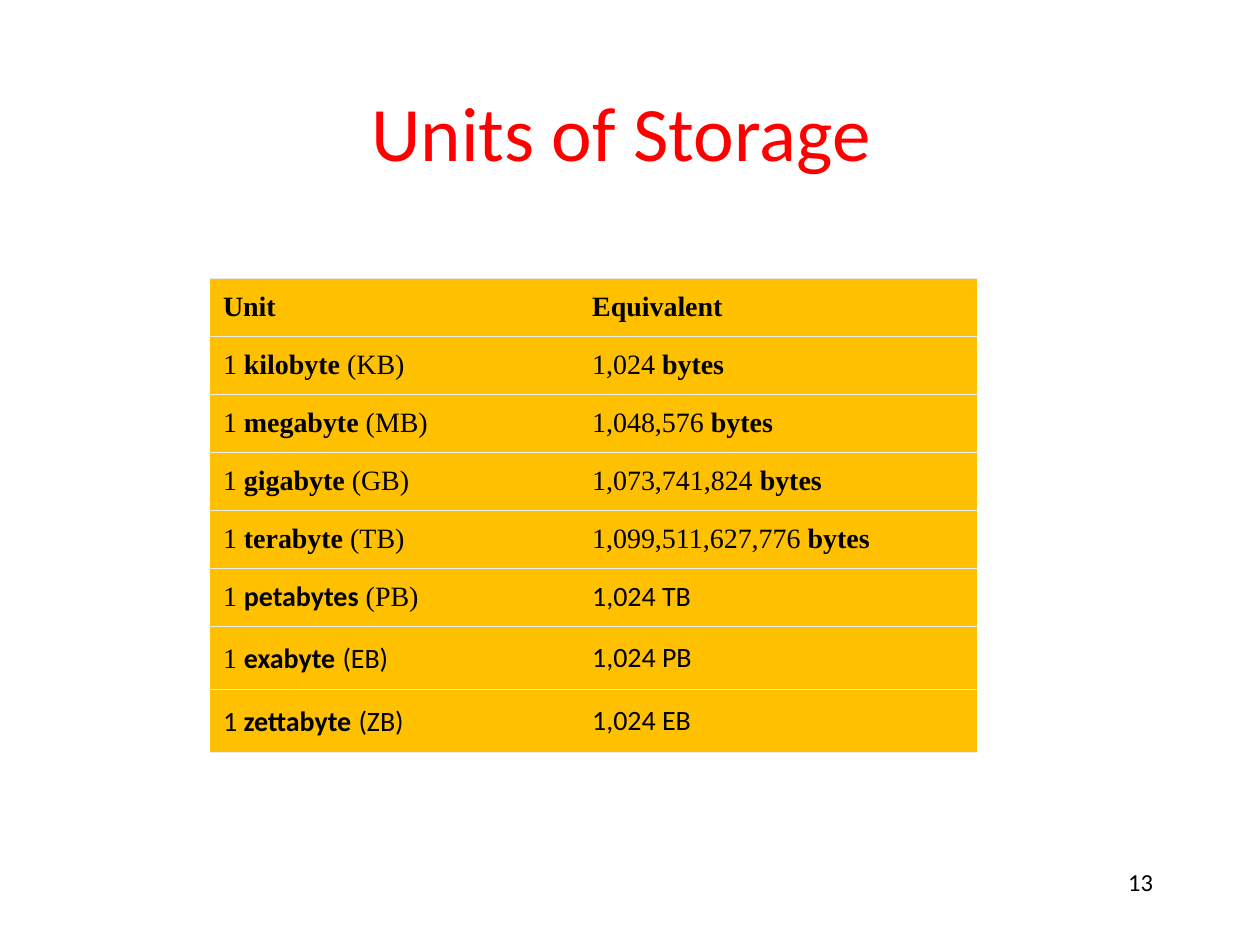
from dataclasses import dataclass

from lxml import etree
from pptx import Presentation
from pptx.dml.color import RGBColor
from pptx.enum.text import MSO_ANCHOR, PP_ALIGN
from pptx.oxml.ns import qn
from pptx.util import Inches, Pt

TOP, MIDDLE = MSO_ANCHOR.TOP, MSO_ANCHOR.MIDDLE
LEFT, CENTER, RIGHT = PP_ALIGN.LEFT, PP_ALIGN.CENTER, PP_ALIGN.RIGHT
RED = RGBColor(0xFF, 0x00, 0x00)
BLACK = RGBColor(0x00, 0x00, 0x00)
AMBER = RGBColor(0xFF, 0xC0, 0x00)
RULE = RGBColor(0xEB, 0xEB, 0xEB)
SANS, SERIF = "Calibri", "Times New Roman"
NBSP = "\u00a0"


@dataclass
class Run:
    text: str
    font: str = SERIF
    bold: bool = False
    size: float = 16
    color: RGBColor = BLACK


@dataclass
class Label:
    run: Run
    box: tuple[float, float, float, float]
    align: PP_ALIGN
    anchor: MSO_ANCHOR


def write(frame, runs: list[Run], align: PP_ALIGN = LEFT) -> None:
    para = frame.paragraphs[0]
    para.alignment = align
    for item in runs:
        run = para.add_run()
        run.text = item.text
        font = run.font
        font.name, font.size, font.bold = item.font, Pt(item.size), item.bold
        font.color.rgb = item.color


def add_label(slide, label: Label) -> None:
    frame = slide.shapes.add_textbox(*map(Inches, label.box)).text_frame
    frame.word_wrap = True
    frame.vertical_anchor = label.anchor
    write(frame, [label.run], label.align)


def set_rules(cell) -> None:
    """Rule the cell above and below, with open sides."""
    props = cell._tc.get_or_add_tcPr()
    for spot, side in enumerate(("lnL", "lnR", "lnT", "lnB")):
        line = etree.Element(qn(f"a:{side}"))
        if side in ("lnT", "lnB"):
            line.set("w", str(int(Pt(0.6))))
            fill = etree.SubElement(line, qn("a:solidFill"))
            etree.SubElement(fill, qn("a:srgbClr"), val=str(RULE))
        else:
            etree.SubElement(line, qn("a:noFill"))
        props.insert(spot, line)


def byte_row(name: str, short: str, count: str) -> list[list[Run]]:
    return [
        [Run("1" + NBSP), Run(name, bold=True), Run(f"{NBSP}({short})")],
        [Run(count + NBSP), Run("bytes", bold=True)],
    ]


def large_row(name: str, short: str, count: str, font: str,
              bold: bool) -> list[list[Run]]:
    return [
        [Run("1 ", font), Run(name, SANS, True),
         Run(" ", SANS, bold, 18), Run(f"({short})", SANS)],
        [Run(count, SANS)],
    ]


# Content
LABELS = [
    Label(Run("Units of Storage ", SANS, size=44, color=RED),
          (0.75, 0.58, 8.5, 0.92), CENTER, MIDDLE),
    Label(Run("13", SANS, size=14), (7.17, 6.83, 2.08, 0.5), RIGHT, TOP),
]
ROWS = [
    [[Run("Unit", bold=True)], [Run("Equivalent", bold=True)]],
    byte_row("kilobyte", "KB", "1,024"),
    byte_row("megabyte", "MB", "1,048,576"),
    byte_row("gigabyte", "GB", "1,073,741,824"),
    byte_row("terabyte", "TB", "1,099,511,627,776"),
    [[Run("1 "), Run("petabytes", SANS, True), Run(" (PB)")],
     [Run("1,024 TB", SANS)]],
    large_row("exabyte", "EB", "1,024 PB", SERIF, True),
    large_row("zettabyte", "ZB", "1,024 EB", SANS, False),
]
WIDTHS = [2.95, 3.13]
HEIGHTS = [0.46] * 6 + [0.5] * 2
INSETS = [0.1, 0.08]

# Slide
deck = Presentation()
deck.slide_width, deck.slide_height = Inches(10), Inches(7.5)
slide = deck.slides.add_slide(deck.slide_layouts[6])
for label in LABELS:
    add_label(slide, label)

# Table of units
table = slide.shapes.add_table(
    len(ROWS), len(WIDTHS), Inches(1.67), Inches(2.21),
    Inches(sum(WIDTHS)), Inches(sum(HEIGHTS))).table
table.horz_banding = False
for column, width in zip(table.columns, WIDTHS):
    column.width = Inches(width)
for row, height, texts in zip(table.rows, HEIGHTS, ROWS):
    row.height = Inches(height)
    for cell, runs, inset in zip(row.cells, texts, INSETS):
        cell.fill.solid()
        cell.fill.fore_color.rgb = AMBER
        cell.vertical_anchor = MIDDLE
        cell.margin_left, cell.margin_right = Inches(inset), Inches(0.08)
        cell.margin_top = cell.margin_bottom = Inches(0.05)
        set_rules(cell)
        write(cell.text_frame, runs)

deck.save("out.pptx")
